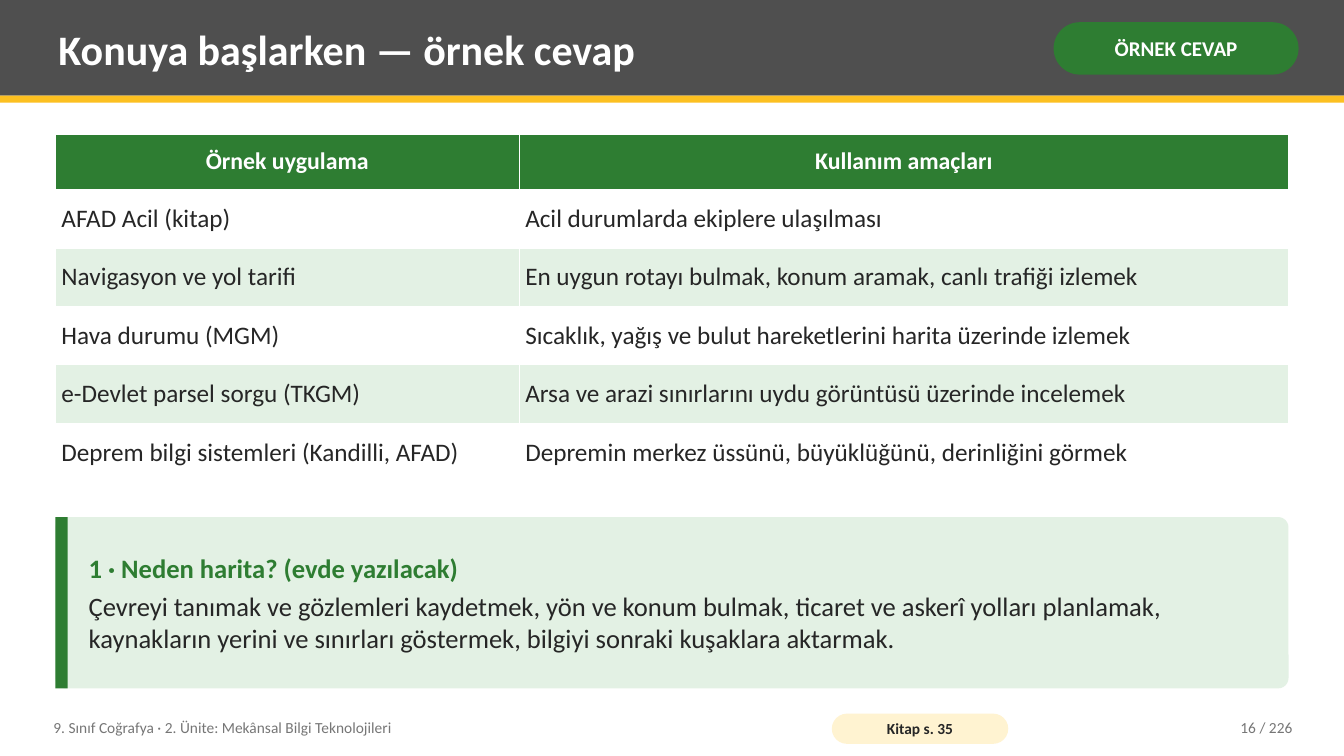
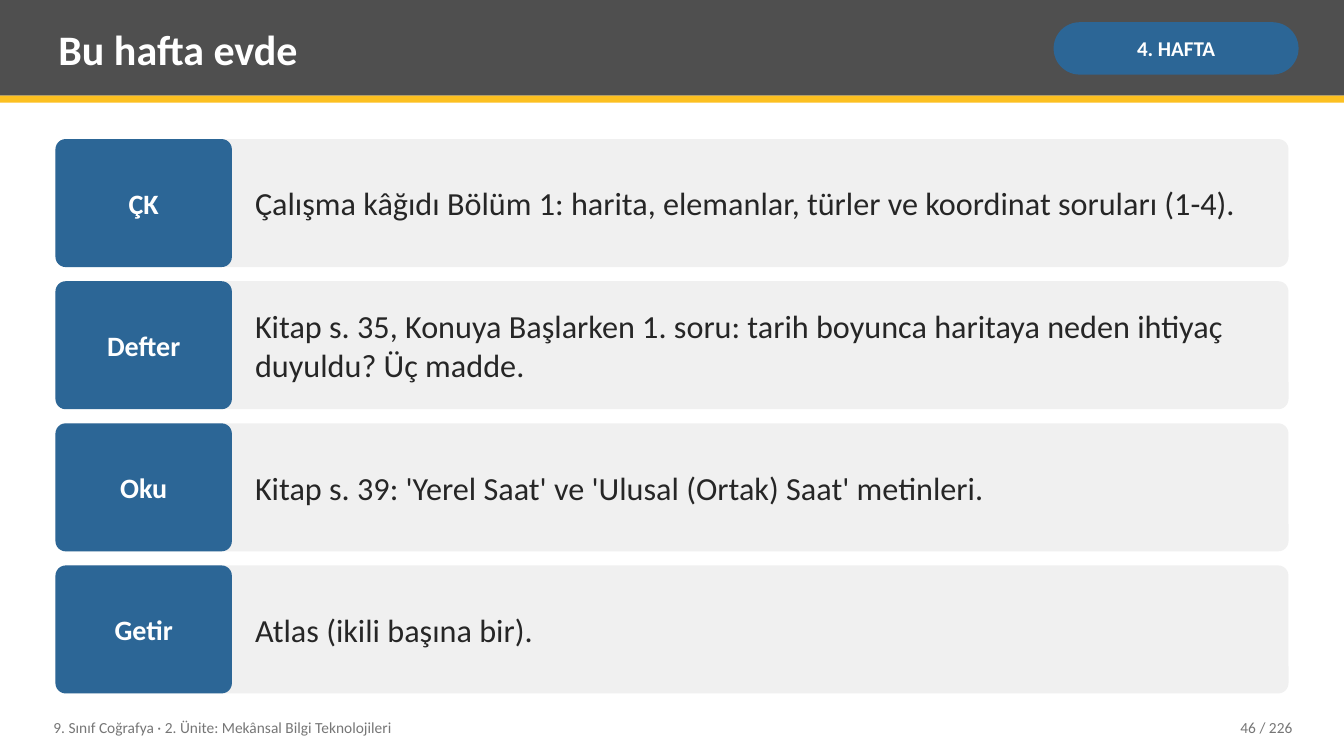
from lxml import etree
from pptx import Presentation
from pptx import util as u
from pptx.dml.color import RGBColor
from pptx.enum import shapes, text
from pptx.oxml import ns

PX = 9144
FONT = "Calibri"
WHITE = RGBColor(0xFF, 0xFF, 0xFF)
INK = RGBColor(0x26, 0x26, 0x26)
CHARCOAL = RGBColor(0x4F, 0x4F, 0x4F)
MUTED = RGBColor(0x76, 0x76, 0x76)
PANEL = RGBColor(0xF0, 0xF0, 0xF0)
GOLD = RGBColor(0xFC, 0xC0, 0x21)
CREAM = RGBColor(0xFF, 0xF3, 0xD1)
GREEN = RGBColor(0x2E, 0x7D, 0x32)
MINT = RGBColor(0xE3, 0xF1, 0xE4)
BLUE = RGBColor(0x2C, 0x66, 0x96)

RECT = shapes.MSO_SHAPE.RECTANGLE
ROUND = shapes.MSO_SHAPE.ROUNDED_RECTANGLE
LEFT, CENTER, RIGHT = text.PP_ALIGN.LEFT, text.PP_ALIGN.CENTER, text.PP_ALIGN.RIGHT
MIDDLE = text.MSO_ANCHOR.MIDDLE

SLIDE_W, SLIDE_H = 1333, 750
MARGIN, CONTENT_W = 55, 1223
TOTAL_PAGES = 226
UNIT = "9. Sınıf Coğrafya · 2. Ünite: Mekânsal Bilgi Teknolojileri"

APPS = [
    ("Örnek uygulama", "Kullanım amaçları"),
    ("AFAD Acil (kitap)", "Acil durumlarda ekiplere ulaşılması"),
    ("Navigasyon ve yol tarifi", "En uygun rotayı bulmak, konum aramak, canlı trafiği izlemek"),
    ("Hava durumu (MGM)", "Sıcaklık, yağış ve bulut hareketlerini harita üzerinde izlemek"),
    ("e-Devlet parsel sorgu (TKGM)", "Arsa ve arazi sınırlarını uydu görüntüsü üzerinde incelemek"),
    ("Deprem bilgi sistemleri (Kandilli, AFAD)", "Depremin merkez üssünü, büyüklüğünü, derinliğini görmek"),
]
WHY_MAPS = (
    "1 · Neden harita? (evde yazılacak)",
    "Çevreyi tanımak ve gözlemleri kaydetmek, yön ve konum bulmak, ticaret ve askerî yolları planlamak, "
    "kaynakların yerini ve sınırları göstermek, bilgiyi sonraki kuşaklara aktarmak.",
)
HOMEWORK = [
    ("ÇK", "Çalışma kâğıdı Bölüm 1: harita, elemanlar, türler ve koordinat soruları (1-4)."),
    ("Defter", "Kitap s. 35, Konuya Başlarken 1. soru: tarih boyunca haritaya neden ihtiyaç duyuldu? Üç madde."),
    ("Oku", "Kitap s. 39: 'Yerel Saat' ve 'Ulusal (Ortak) Saat' metinleri."),
    ("Getir", "Atlas (ikili başına bir)."),
]


def emu(*lengths):
    return [u.Emu(length * PX) for length in lengths]


def write(paragraph, words, size, color, bold=False, align=LEFT):
    paragraph.alignment = align
    run = paragraph.add_run()
    run.text = words
    run.font.name = FONT
    run.font.size = u.Pt(size)
    run.font.color.rgb = color
    run.font.bold = bold


def set_frame(frame, inset_x=8, inset_y=4):
    frame.word_wrap = True
    frame.auto_size = text.MSO_AUTO_SIZE.NONE
    frame.vertical_anchor = MIDDLE
    frame.margin_left = frame.margin_right = u.Emu(inset_x * PX)
    frame.margin_top = frame.margin_bottom = u.Emu(inset_y * PX)
    return frame


def add_block(slide, box, fill, kind=RECT, radius=None):
    block = slide.shapes.add_shape(kind, *emu(*box))
    block.shadow.inherit = False
    block.fill.solid()
    block.fill.fore_color.rgb = fill
    block.line.fill.background()
    if radius is not None:
        block.adjustments[0] = radius
    return block


def add_label(slide, box, words, size, fill, color=WHITE, radius=0.5, insets=(5, 2)):
    label = add_block(slide, box, fill, ROUND, radius)
    frame = set_frame(label.text_frame, *insets)
    write(frame.paragraphs[0], words, size, color, True, CENTER)


def add_text(slide, box, words, size, color, align=LEFT):
    frame = set_frame(slide.shapes.add_textbox(*emu(*box)).text_frame)
    write(frame.paragraphs[0], words, size, color, align=align)
    return frame


def add_header(slide, heading, badge, accent):
    add_block(slide, (0, 0, SLIDE_W, 95), CHARCOAL)
    add_block(slide, (0, 95, SLIDE_W, 7), GOLD)
    title = slide.shapes.title
    title.left, title.top, title.width, title.height = emu(50, 7, 975, 82)
    title.element.getparent().append(title.element)
    write(set_frame(title.text_frame).paragraphs[0], heading, 30, WHITE, True)
    add_label(slide, (1045, 22, 243, 52), badge, 15, accent)


def add_footer(slide, page, book_page=None):
    add_text(slide, (45, 704, 760, 36), UNIT, 11, MUTED)
    if book_page:
        add_label(slide, (825, 708, 175, 30), book_page, 11, CREAM, INK, insets=(4, 0))
    add_text(slide, (1130, 704, 160, 36), f"{page} / {TOTAL_PAGES}", 11, MUTED, RIGHT)


def set_borders(cell):
    properties = cell._tc.get_or_add_tcPr()
    for side in ("lnL", "lnR", "lnT", "lnB"):
        line = etree.SubElement(properties, ns.qn(f"a:{side}"), w=str(u.Pt(0.96)))
        fill = etree.SubElement(line, ns.qn("a:solidFill"))
        etree.SubElement(fill, ns.qn("a:srgbClr"), val=str(WHITE))


def add_app_table(slide, left, top, width):
    first_width, header_height, row_height = 460, 55, 58
    height = header_height + row_height * (len(APPS) - 1)
    table = slide.shapes.add_table(len(APPS), 2, *emu(left, top, width, height)).table
    table.horz_banding = False
    for column, column_width in zip(table.columns, emu(first_width, width - first_width)):
        column.width = column_width
    for r, entries in enumerate(APPS):
        header = r == 0
        table.rows[r].height = u.Emu((header_height if header else row_height) * PX)
        for c, words in enumerate(entries):
            cell = table.cell(r, c)
            set_borders(cell)
            cell.fill.solid()
            cell.fill.fore_color.rgb = GREEN if header else WHITE if r % 2 else MINT
            cell.vertical_anchor = MIDDLE
            cell.margin_left, cell.margin_right, cell.margin_top, cell.margin_bottom = emu(6, 6, 5, 5)
            style = (17, WHITE, True, CENTER) if header else (18, INK)
            write(cell.text_frame.paragraphs[0], words, *style)


def add_callout(slide, left, top, width, height, heading, body):
    add_block(slide, (left, top, width, height), MINT, ROUND, 0.06)
    add_block(slide, (left, top, 12, height), GREEN)
    box = emu(left + 25, top + 6, width - 35, height - 12)
    frame = set_frame(slide.shapes.add_textbox(*box).text_frame)
    write(frame.paragraphs[0], heading, 19, GREEN, True)
    frame.paragraphs[0].space_after = u.Pt(4)
    write(frame.add_paragraph(), body, 19, INK)


def add_task(slide, left, top, width, height, tag, task):
    tag_width, text_offset = 175, 190
    add_block(slide, (left, top, width, height), PANEL, ROUND, 0.08)
    add_label(slide, (left, top, tag_width, height), tag, 20, BLUE, radius=0.08, insets=(6, 8))
    add_text(slide, (left + text_offset, top, width - text_offset - 10, height), task, 23, INK)


def add_task_list(slide, left, top, width, height, gap=14):
    row_height = (height - gap * (len(HOMEWORK) - 1)) // len(HOMEWORK)
    for i, (tag, task) in enumerate(HOMEWORK):
        add_task(slide, left, top + i * (row_height + gap), width, row_height, tag, task)


def build_answer_slide(slide):
    add_header(slide, "Konuya başlarken — örnek cevap", "ÖRNEK CEVAP", GREEN)
    add_app_table(slide, MARGIN, 133, CONTENT_W)
    add_callout(slide, MARGIN, 513, CONTENT_W, 170, *WHY_MAPS)
    add_footer(slide, 16, "Kitap s. 35")


def build_homework_slide(slide):
    add_header(slide, "Bu hafta evde", "4. HAFTA", BLUE)
    add_task_list(slide, MARGIN, 138, CONTENT_W, 550)
    add_footer(slide, 46)


def main():
    deck = Presentation()
    deck.slide_width, deck.slide_height = emu(SLIDE_W, SLIDE_H)
    title_only = deck.slide_layouts[5]
    for build in (build_answer_slide, build_homework_slide):
        build(deck.slides.add_slide(title_only))
    deck.save("out.pptx")


if __name__ == "__main__":
    main()
